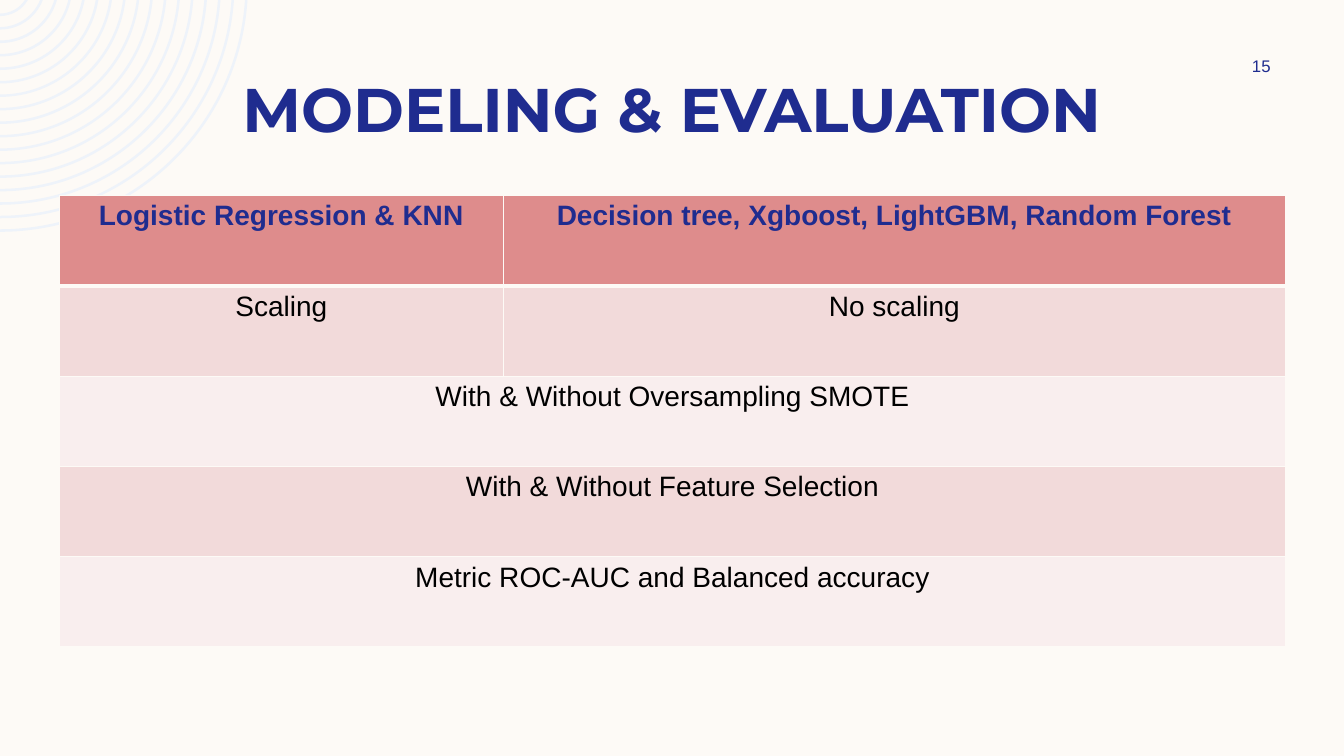
from dataclasses import dataclass
from math import asin, cos, pi, sin, tan

from lxml.etree import SubElement
from pptx import Presentation
from pptx.dml.color import RGBColor
from pptx.enum.text import MSO_ANCHOR as Anchor, MSO_AUTO_SIZE as AutoSize, PP_ALIGN as Align
from pptx.oxml.ns import qn
from pptx.slide import Slide
from pptx.table import _Cell as Cell
from pptx.text.text import TextFrame
from pptx.util import Inches, Pt


@dataclass(frozen=True)
class Theme:
    background: str = "FDFAF6"
    rings: str = "EEF3FA"
    navy: str = "1F2C8F"
    body: str = "000000"
    header_fill: str = "DE8C8C"
    dark_band: str = "F2DADA"
    light_band: str = "F9EEEE"
    title_font: str = "Montserrat"
    text_font: str = "Arial"
    title_size: int = 44
    table_size: int = 20
    number_size: int = 12


@dataclass(frozen=True)
class Row:
    texts: tuple[str, ...]  # a single text spans the whole row
    fill: str
    color: str = Theme.body
    bold: bool = False
    bottom_border: int = 1


THEME = Theme()
ROWS = (
    Row(("Logistic Regression & KNN", "Decision tree, Xgboost, LightGBM, Random Forest"),
        THEME.header_fill, THEME.navy, True, 3),
    Row(("Scaling", "No scaling"), THEME.dark_band),
    Row(("With & Without Oversampling SMOTE",), THEME.light_band),
    Row(("With & Without Feature Selection",), THEME.dark_band),
    Row(("Metric ROC-AUC and Balanced accuracy",), THEME.light_band),
)
COLUMN_WIDTHS = (4.4, 7.76)


def write(text_frame: TextFrame, text: str, font: str, size: int, color: str,
          bold: bool = False) -> None:
    text_frame.text = text
    paragraph = text_frame.paragraphs[0]
    paragraph.alignment = Align.CENTER
    run_font = paragraph.runs[0].font
    run_font.name, run_font.size, run_font.bold = font, Pt(size), bold
    run_font.color.rgb = RGBColor.from_string(color)


def arc_points(radius: float, centre_y: float) -> list[tuple[float, float]]:
    """Bezier points of an arc from the slide's top edge to its left edge."""
    start = asin(-centre_y / radius)
    reach = 4 / 3 * tan((pi / 2 - start) / 4) * radius
    x, y = radius * cos(start), 0
    bottom = centre_y + radius
    return [(x, y), (x - reach * sin(start), y + reach * cos(start)), (reach, bottom), (0, bottom)]


def draw_rings(slide: Slide) -> None:
    """Concentric bands around a centre just above the top left corner."""
    count, centre_y, band = 17, -0.16, 0.025
    smallest, largest, units = 0.32, 2.46, 1000
    builder = None
    for ring in range(count):
        radius = smallest + (largest - smallest) * ring / (count - 1)
        outline = arc_points(radius, centre_y) + arc_points(radius - band, centre_y)[::-1]
        points = [(x * units, y * units) for x, y in outline]
        if builder is None:
            builder = slide.shapes.build_freeform(*points[0], scale=Inches(1) / units)
        else:
            builder.move_to(*points[0])
        builder.add_line_segments(points[1:], close=True)
    rings = builder.convert_to_shape()

    # Each ring has seven segments: three form a curve, one is straight, three form a curve
    segments = list(rings._element.iter(qn("a:lnTo")))
    for first in range(0, len(segments), 7):
        for offset in (0, 4):
            curve, second, third = segments[first + offset:first + offset + 3]
            curve.tag = qn("a:cubicBezTo")
            for segment in (second, third):
                curve.append(segment[0])
                segment.getparent().remove(segment)

    rings.shadow.inherit = False
    rings.fill.solid()
    rings.fill.fore_color.rgb = RGBColor.from_string(THEME.rings)
    rings.line.fill.background()


def add_borders(cell: Cell, top: int, bottom: int) -> None:
    properties = cell._tc.get_or_add_tcPr()
    for tag, width in (("a:lnL", 1), ("a:lnR", 1), ("a:lnT", top), ("a:lnB", bottom)):
        line = SubElement(properties, qn(tag), w=str(Pt(width)))
        fill = SubElement(line, qn("a:solidFill"))
        SubElement(fill, qn("a:srgbClr"), val=THEME.background)


def draw_table(slide: Slide) -> None:
    table = slide.shapes.add_table(len(ROWS), len(COLUMN_WIDTHS), Inches(0.59), Inches(1.94),
                                   Inches(sum(COLUMN_WIDTHS)), Inches(4.48)).table
    table.horz_banding = False
    for column, width in zip(table.columns, COLUMN_WIDTHS):
        column.width = Inches(width)

    top_border = 1
    for index, row in enumerate(ROWS):
        for cell in table.rows[index].cells:
            add_borders(cell, top_border, row.bottom_border)
            cell.fill.solid()
            cell.fill.fore_color.rgb = RGBColor.from_string(row.fill)
        top_border = row.bottom_border
        if len(row.texts) == 1:
            table.cell(index, 0).merge(table.cell(index, len(COLUMN_WIDTHS) - 1))
        for column_index, text in enumerate(row.texts):
            write(table.cell(index, column_index).text_frame, text, THEME.text_font,
                  THEME.table_size, row.color, row.bold)


def main() -> None:
    presentation = Presentation()
    presentation.slide_width, presentation.slide_height = Inches(13.33), Inches(7.5)
    slide = presentation.slides.add_slide(presentation.slide_layouts[5])
    slide.background.fill.solid()
    slide.background.fill.fore_color.rgb = RGBColor.from_string(THEME.background)
    draw_rings(slide)

    # Title
    title = slide.shapes.title
    title.left, title.top = Inches(0.83), Inches(0.65)
    title.width, title.height = Inches(11.67), Inches(0.84)
    title.text_frame.auto_size = AutoSize.NONE
    title.text_frame.vertical_anchor = Anchor.MIDDLE
    write(title.text_frame, "MODELING & EVALUATION", THEME.title_font, THEME.title_size,
          THEME.navy, True)

    draw_table(slide)

    # Slide number
    number = slide.shapes.add_textbox(Inches(11.97), Inches(0.5), Inches(1.08), Inches(0.3))
    number.text_frame.word_wrap = True
    number.text_frame.vertical_anchor = Anchor.MIDDLE
    write(number.text_frame, "15", THEME.text_font, THEME.number_size, THEME.navy)

    presentation.save("out.pptx")


if __name__ == "__main__":
    main()
